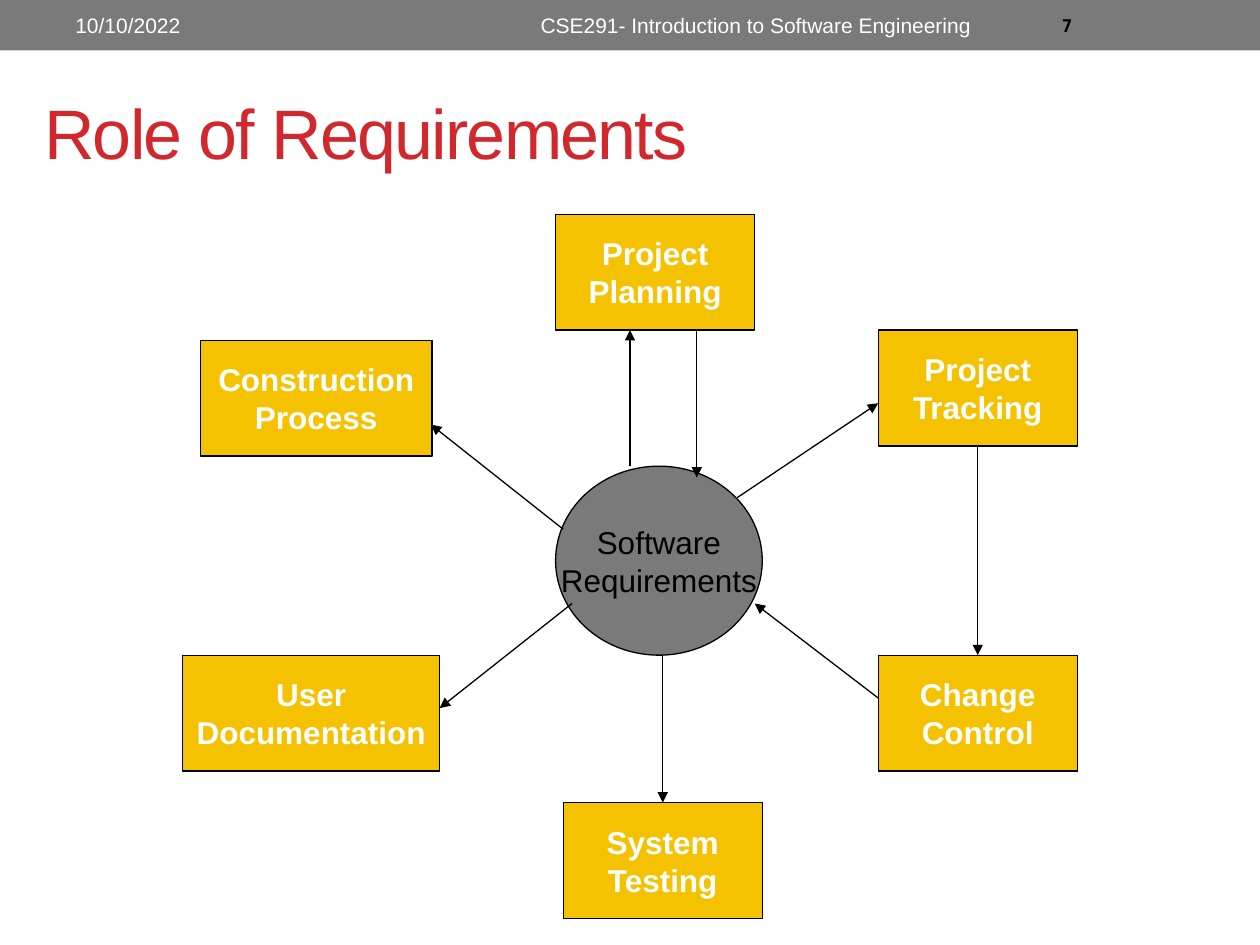
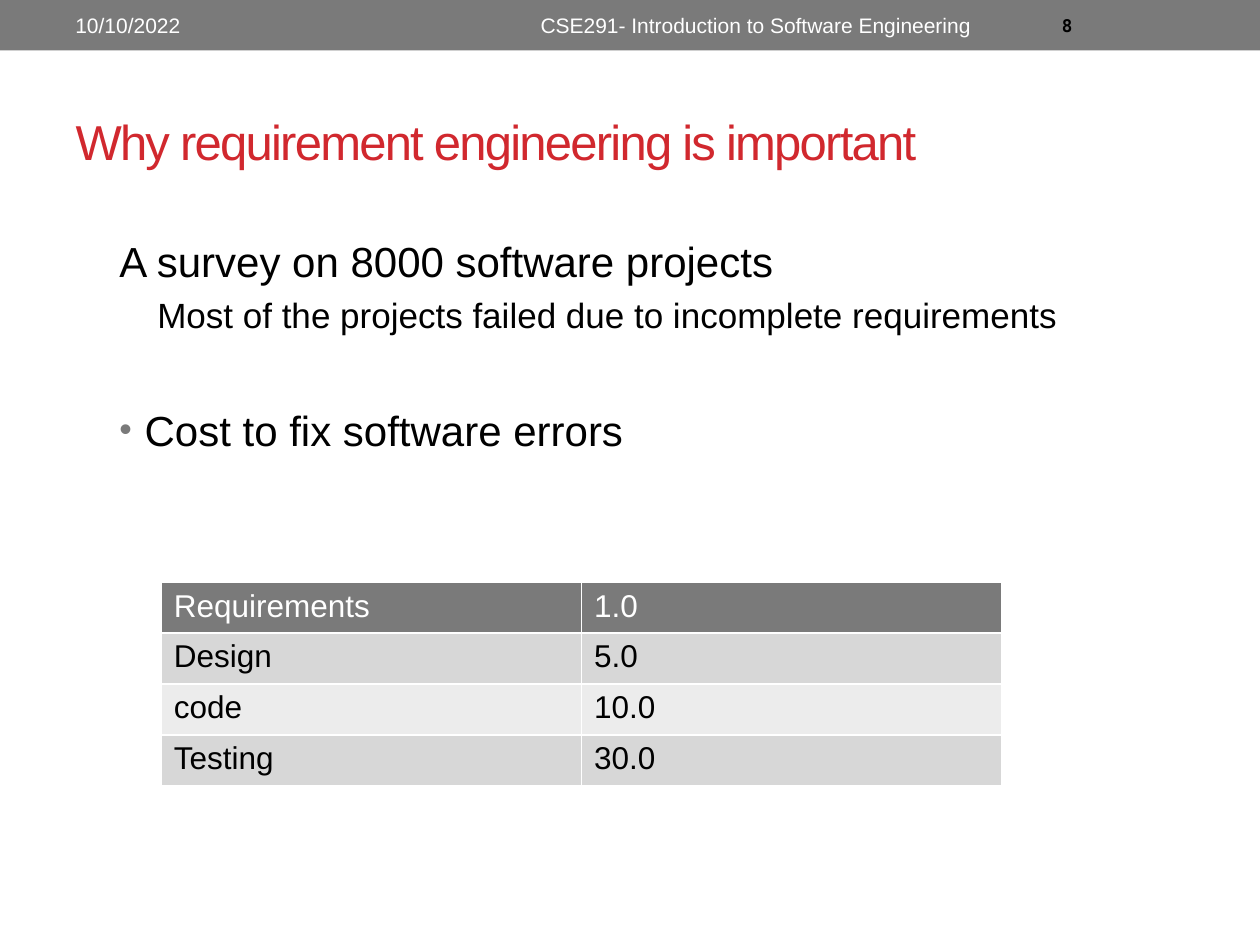
"""Build two slides on the role and importance of software requirements."""
from dataclasses import dataclass
from typing import NamedTuple, Optional, Sequence

from lxml import etree
from pptx import Presentation
from pptx import slide as sl
from pptx import util as u
from pptx.dml import color
from pptx.enum import shapes, text
from pptx.oxml import ns
from pptx.shapes import autoshape
from pptx.text import text as tx


@dataclass(frozen=True)
class Theme:
    font: str = "Arial"
    number_font: str = "DejaVu Sans Mono"
    gray: str = "7A7A7A"
    red: str = "D1282E"
    gold: str = "F5C201"
    black: str = "000000"
    white: str = "FFFFFF"
    row_dark: str = "D7D7D7"
    row_light: str = "ECECEC"
    title: int = 40
    long_title: int = 28
    body: int = 24
    sub: int = 20
    label: int = 18
    footer: int = 12
    number: int = 10
    line: float = 0.75


class Box(NamedTuple):
    left: float
    top: float
    width: float
    height: float


class Node(NamedTuple):
    label: str
    box: Box


class Joint(NamedTuple):
    label: str
    site: int


class Arrow(NamedTuple):
    x1: float
    y1: float
    x2: float
    y2: float
    begin: Optional[Joint] = None
    end: Optional[Joint] = None


class Item(NamedTuple):
    words: str
    size: int
    before: float = 0
    margin: float = 0
    bullet: bool = False


T = Theme()
DATE = "10/10/2022"
COURSE = "CSE291- Introduction to Software Engineering"
BAND = Box(0, 0, 10, 0.4)
DATE_BOX = Box(0.5, 0.02, 3.17, 0.36)
COURSE_BOX = Box(3.75, 0.02, 4.5, 0.36)
NUMBER_BOX = Box(8.33, 0.02, 1.17, 0.36)

NODE_W, NODE_H = 1.58, 0.92
HUB = Node("Software\nRequirements", Box(4.41, 3.7, 1.64, 1.5))
NODES = [
    Node("Project\nPlanning", Box(4.41, 1.7, NODE_W, NODE_H)),
    Node("Project\nTracking", Box(6.97, 2.62, NODE_W, NODE_H)),
    Node("Change\nControl", Box(6.97, 5.2, NODE_W, NODE_H)),
    Node("System\nTesting", Box(4.47, 6.37, NODE_W, NODE_H)),
    Node("User\nDocumentation", Box(1.45, 5.2, 2.04, NODE_H)),
    Node("Construction\nProcess", Box(1.59, 2.7, 1.84, NODE_H)),
]
ARROWS = [
    Arrow(5, 3.7, 5, 2.62),
    Arrow(5.53, 2.62, 5.53, 3.79),
    Arrow(5.85, 3.95, 6.97, 3.2),
    Arrow(7.76, 3.54, 7.76, 5.2,
          Joint("Project\nTracking", 2), Joint("Change\nControl", 0)),
    Arrow(6.97, 5.54, 5.99, 4.79),
    Arrow(4.47, 4.2, 3.42, 3.37),
    Arrow(4.54, 4.79, 3.49, 5.62),
    Arrow(5.26, 5.2, 5.26, 6.37, end=Joint("System\nTesting", 0)),
]

SURVEY_BOX = Box(0.85, 1.82, 8.43, 2.2)
SURVEY = [
    Item("A survey on 8000 software projects", T.body),
    Item("Most of the projects failed due to incomplete requirements",
         T.sub, before=4.5, margin=0.3),
    Item("Cost to fix software errors", T.body, before=39, margin=0.2, bullet=True),
]

COSTS_BOX = Box(1.28, 4.62, 6.67, 1.62)
COSTS = [("Requirements", "1.0"), ("Design", "5.0"), ("code", "10.0"), ("Testing", "30.0")]


def rgb(value: str) -> color.RGBColor:
    return color.RGBColor.from_string(value)


def inches(box: Sequence[float]) -> list[u.Length]:
    return [u.Inches(v) for v in box]


def write(p: tx._Paragraph, words: str, *, size: float, fill: str = T.black,
          font: str = T.font, bold: bool = False,
          align: text.PP_ALIGN = text.PP_ALIGN.LEFT, spacing: int = 0) -> None:
    p.alignment = align
    r = p.add_run()
    r.text = words
    r.font.name, r.font.size, r.font.bold = font, u.Pt(size), bold
    r.font.color.rgb = rgb(fill)
    if spacing:
        r._r.get_or_add_rPr().set("spc", str(spacing))


def add_preset(s: sl.Slide, kind: shapes.MSO_SHAPE, box: Box, fill: str,
               line: Optional[str] = None) -> autoshape.Shape:
    sp = s.shapes.add_shape(kind, *inches(box))
    sp.shadow.inherit = False
    sp.fill.solid()
    sp.fill.fore_color.rgb = rgb(fill)
    if line:
        sp.line.color.rgb = rgb(line)
        sp.line.width = u.Pt(T.line)
    else:
        sp.line.fill.background()
    return sp


def add_footer(s: sl.Slide, box: Box, words: str, size: int = T.footer,
               fill: str = T.white, **fmt) -> None:
    tf = s.shapes.add_textbox(*inches(box)).text_frame
    tf.word_wrap = True
    tf.vertical_anchor = text.MSO_ANCHOR.MIDDLE
    write(tf.paragraphs[0], words, size=size, fill=fill, **fmt)


def add_slide(prs, title: str, box: Box, size: int, number: int) -> sl.Slide:
    s = prs.slides.add_slide(prs.slide_layouts.get_by_name("Title Only"))
    add_preset(s, shapes.MSO_SHAPE.RECTANGLE, BAND, T.gray)
    sp = s.shapes.title
    sp.left, sp.top, sp.width, sp.height = inches(box)
    tf = sp.text_frame
    tf.auto_size = text.MSO_AUTO_SIZE.NONE
    tf.vertical_anchor = text.MSO_ANCHOR.MIDDLE
    write(tf.paragraphs[0], title, size=size, fill=T.red, spacing=-100)
    add_footer(s, DATE_BOX, DATE)
    add_footer(s, COURSE_BOX, COURSE, align=text.PP_ALIGN.CENTER)
    add_footer(s, NUMBER_BOX, str(number), T.number, T.black,
               font=T.number_font, bold=True)
    return s


def add_node(s: sl.Slide, node: Node, kind: shapes.MSO_SHAPE, fill: str,
             ink: str, bold: bool) -> autoshape.Shape:
    sp = add_preset(s, kind, node.box, fill, T.black)
    tf = sp.text_frame
    tf.word_wrap = False
    tf.vertical_anchor = text.MSO_ANCHOR.MIDDLE
    for i, words in enumerate(node.label.split("\n")):
        p = tf.add_paragraph() if i else tf.paragraphs[0]
        write(p, words, size=T.label, fill=ink, bold=bold, align=text.PP_ALIGN.CENTER)
    return sp


def add_arrow(s: sl.Slide, arrow: Arrow, nodes: dict[str, autoshape.Shape]) -> None:
    c = s.shapes.add_connector(shapes.MSO_CONNECTOR.STRAIGHT, *inches(arrow[:4]))
    if arrow.begin:
        c.begin_connect(nodes[arrow.begin.label], arrow.begin.site)
    if arrow.end:
        c.end_connect(nodes[arrow.end.label], arrow.end.site)
    c.line.color.rgb = rgb(T.black)
    c.line.width = u.Pt(T.line)
    etree.SubElement(c.line._get_or_add_ln(), ns.qn("a:tailEnd"), type="triangle")
    etree.SubElement(c._element.spPr, ns.qn("a:effectLst"))


def add_items(s: sl.Slide, box: Box, items: list[Item]) -> None:
    tf = s.shapes.add_textbox(*inches(box)).text_frame
    tf.word_wrap = True
    for i, item in enumerate(items):
        p = tf.add_paragraph() if i else tf.paragraphs[0]
        p.space_before = u.Pt(item.before)
        pPr = p._p.get_or_add_pPr()
        pPr.set("marL", str(u.Inches(item.margin)))
        if item.bullet:
            pPr.set("indent", str(-u.Inches(item.margin)))
            clr = etree.SubElement(pPr, ns.qn("a:buClr"))
            etree.SubElement(clr, ns.qn("a:srgbClr"), val=T.gray)
            etree.SubElement(pPr, ns.qn("a:buSzPct"), val="85000")
            etree.SubElement(pPr, ns.qn("a:buFont"), typeface=T.font)
            etree.SubElement(pPr, ns.qn("a:buChar"), char="•")
        write(p, item.words, size=item.size)


def add_borders(cell, fill: str, width: float) -> None:
    tcPr = cell._tc.get_or_add_tcPr()
    for i, side in enumerate(("lnL", "lnR", "lnT", "lnB")):
        ln = etree.Element(ns.qn(f"a:{side}"), w=str(u.Pt(width)))
        solid = etree.SubElement(ln, ns.qn("a:solidFill"))
        etree.SubElement(solid, ns.qn("a:srgbClr"), val=fill)
        tcPr.insert(i, ln)


def add_costs(s: sl.Slide, box: Box, rows: list[tuple[str, str]]) -> None:
    table = s.shapes.add_table(len(rows), len(rows[0]), *inches(box)).table
    for i, row in enumerate(rows):
        if i == 0:
            fill, ink = T.gray, T.white
        else:
            fill, ink = (T.row_dark if i % 2 else T.row_light), T.black
        for j, words in enumerate(row):
            cell = table.cell(i, j)
            cell.fill.solid()
            cell.fill.fore_color.rgb = rgb(fill)
            add_borders(cell, T.white, 1)
            write(cell.text_frame.paragraphs[0], words, size=T.label, fill=ink)


def build_role(prs) -> None:
    s = add_slide(prs, "Role of Requirements", Box(0.25, 0.58, 9, 0.92), T.title, 7)
    add_node(s, HUB, shapes.MSO_SHAPE.OVAL, T.gray, T.black, False)
    nodes = {n.label: add_node(s, n, shapes.MSO_SHAPE.RECTANGLE, T.gold, T.white, True)
             for n in NODES}
    for arrow in ARROWS:
        add_arrow(s, arrow, nodes)


def build_importance(prs) -> None:
    s = add_slide(prs, "Why requirement engineering is important",
                  Box(0.5, 0.58, 9, 1.08), T.long_title, 8)
    add_items(s, SURVEY_BOX, SURVEY)
    add_costs(s, COSTS_BOX, COSTS)


def main() -> None:
    prs = Presentation()
    prs.slide_width, prs.slide_height = u.Inches(10), u.Inches(7.5)
    build_role(prs)
    build_importance(prs)
    prs.save("out.pptx")


if __name__ == "__main__":
    main()
